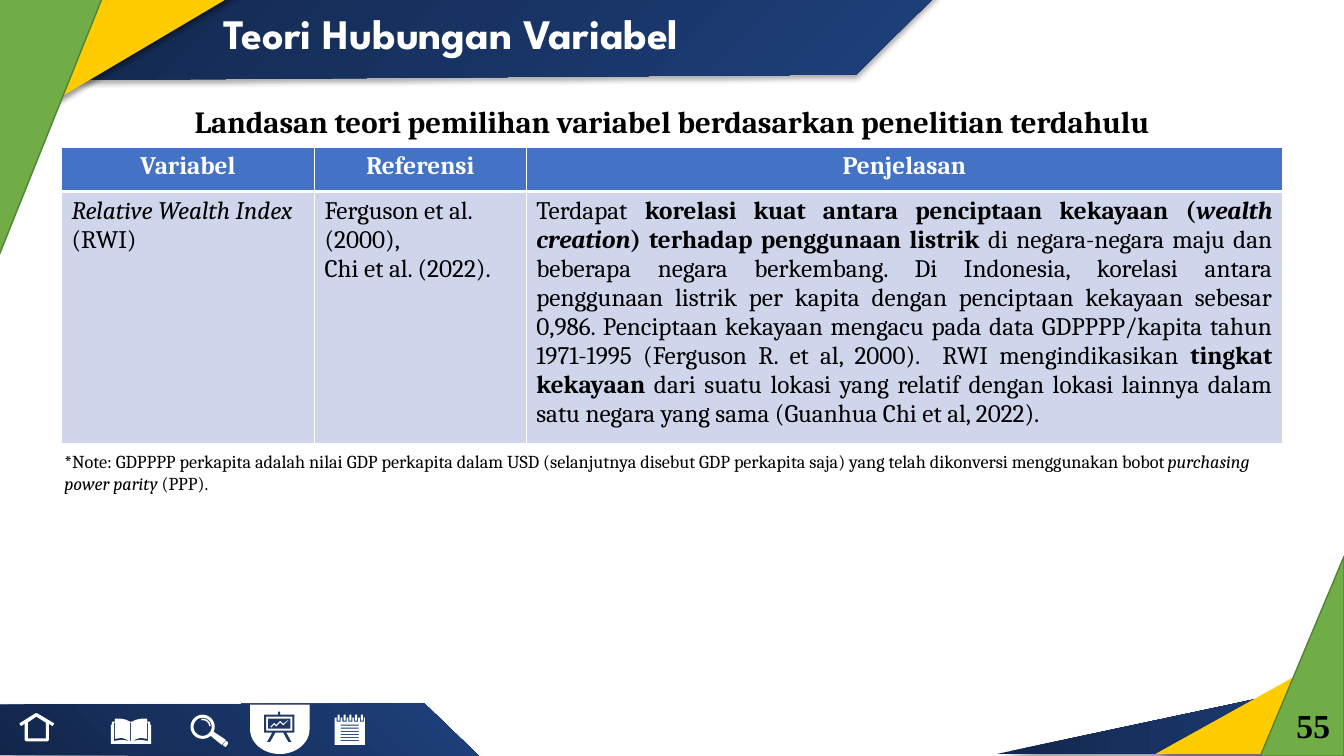
from math import cos, radians, sin

from lxml.etree import SubElement
from pptx import Presentation
from pptx.dml.color import RGBColor
from pptx.enum.shapes import MSO_CONNECTOR, MSO_SHAPE
from pptx.enum.text import MSO_ANCHOR as ANCHOR, PP_ALIGN as ALIGN
from pptx.oxml.ns import qn
from pptx.util import Inches, Pt

WHITE = RGBColor(0xFF, 0xFF, 0xFF)
BLACK = RGBColor(0, 0, 0)
NAVY_DARK = RGBColor(0x12, 0x26, 0x4A)
NAVY_LIGHT = RGBColor(0x1E, 0x40, 0x7C)
ICON_NAVY = RGBColor(0x20, 0x38, 0x64)
YELLOW = RGBColor(0xFF, 0xCC, 0x00)
GREEN = RGBColor(0x70, 0xAD, 0x47)
GREEN_EDGE = RGBColor(0x53, 0x81, 0x35)
HEADER_BLUE = RGBColor(0x44, 0x72, 0xC4)
BODY_BLUE = RGBColor(0xCF, 0xD5, 0xEA)
BODY_FONT = "Cambria"
CORNER_SHADOW = (40, 4, 3, 45)
BAND_SHADOW = (32, 3.5, 2.2, 90)

HEADINGS = ["Variabel", "Referensi", "Penjelasan"]
DETAILS = [
    [[("Relative Wealth Index ", "i"), ("(RWI)", "")]],
    [[("Ferguson et al. (2000),", "")], [("Chi et al. (2022).", "")]],
    [[("Terdapat ", ""), ("korelasi kuat antara penciptaan kekayaan (", "b"),
      ("wealth creation", "bi"), (") terhadap penggunaan listrik", "b"),
      (" di negara-negara maju dan beberapa negara berkembang. Di Indonesia, korelasi antara "
       "penggunaan listrik per kapita dengan penciptaan kekayaan sebesar 0,986. Penciptaan "
       "kekayaan mengacu pada data GDPPPP/kapita tahun 1971-1995 (Ferguson R. et al, 2000).  "
       "RWI mengindikasikan ", ""),
      ("tingkat kekayaan ", "b"),
      ("dari suatu lokasi yang relatif dengan lokasi lainnya dalam satu negara yang sama "
       "(Guanhua Chi et al, 2022).", "")]],
]
NOTE = [[("*Note: GDPPPP perkapita adalah nilai GDP perkapita dalam USD (selanjutnya disebut GDP "
          "perkapita saja) yang telah dikonversi menggunakan bobot ", ""),
         ("purchasing power parity ", "i"), ("(PPP).", "")]]


def write(frame, paragraphs, size, color=BLACK, font=BODY_FONT, align=ALIGN.LEFT):
    """Fill a text frame with paragraphs of (text, style) runs."""
    for index, runs in enumerate(paragraphs):
        paragraph = frame.add_paragraph() if index else frame.paragraphs[0]
        paragraph.alignment = align
        for text, style in runs:
            run = paragraph.add_run()
            run.text = text
            run.font.name, run.font.size = font, Pt(size)
            run.font.color.rgb = color
            run.font.bold, run.font.italic = "b" in style, "i" in style


def add_text(slide, box, paragraphs, size, anchor=ANCHOR.MIDDLE, **style):
    """Add a wrapping text box and return its frame."""
    frame = slide.shapes.add_textbox(*map(Inches, box)).text_frame
    frame.word_wrap = True
    frame.vertical_anchor = anchor
    write(frame, paragraphs, size, **style)
    return frame


def add_outline(slide, left, top, contours, fill=None, line=None, width=1, angle=None, shadow=None):
    """Draw closed contours, placed relative to left and top, as one freeform."""
    placed = [[(Inches(left + x), Inches(top + y)) for x, y in contour] for contour in contours]
    builder = slide.shapes.build_freeform(*placed[0][0])
    for index, points in enumerate(placed):
        if index:
            builder.move_to(*points[0])
        builder.add_line_segments(points[1:], close=True)
    shape = builder.convert_to_shape()
    shape.shadow.inherit = False
    if angle is not None:
        shape.fill.gradient()
        shape.fill.gradient_angle = angle
        for stop, color in zip(shape.fill.gradient_stops, (NAVY_DARK, NAVY_LIGHT)):
            stop.color.rgb = color
    elif fill is None:
        shape.fill.background()
    else:
        shape.fill.solid()
        shape.fill.fore_color.rgb = fill
    if line is None:
        shape.line.fill.background()
    else:
        shape.line.color.rgb = line
        shape.line.width = Pt(width)
    if shadow:
        alpha, blur, distance, direction = shadow
        effects = shape._element.spPr.find(qn("a:effectLst"))
        outer = SubElement(effects, qn("a:outerShdw"), blurRad=str(Pt(blur)), dist=str(Pt(distance)),
                           dir=str(direction * 60000), algn="tl", rotWithShape="0")
        color = SubElement(outer, qn("a:srgbClr"), val="000000")
        SubElement(color, qn("a:alpha"), val=str(alpha * 1000))


def rectangle(left, top, right, bottom):
    """Return the corners of a rectangle."""
    return [(left, top), (right, top), (right, bottom), (left, bottom)]


def arc(x, y, radius, start=0, end=360):
    """Return points along an arc."""
    steps = [radians(start + (end - start) * step / 32) for step in range(33)]
    return [(x + radius * cos(turn), y + radius * sin(turn)) for turn in steps]


def bottom_corner(slide, left, top):
    """Draw the three wedges of the lower right corner."""
    add_outline(slide, left, top, [[(3.44, 1.96), (3.44, 1.23), (0, 1.96)]], angle=0, shadow=CORNER_SHADOW)
    add_outline(slide, left, top, [[(3.44, 1.96), (3.44, 0.92), (1.57, 1.96)]], YELLOW, shadow=CORNER_SHADOW)
    add_outline(slide, left, top, [[(3.44, 1.98), (3.44, 0), (2.61, 1.98)]], GREEN, GREEN_EDGE)


def header(slide, left, top):
    """Draw the title band and the upper left corner."""
    strip = slide.shapes.add_shape(MSO_SHAPE.RECTANGLE, Inches(left), Inches(top), Inches(13.35), Inches(0.72))
    strip.shadow.inherit = False
    strip.fill.solid()
    strip.fill.fore_color.rgb = WHITE
    strip.line.fill.background()
    add_outline(slide, left, top, [[(8.5, 0.79), (0.01, 0.85), (-0.01, -0.02), (9.35, -0.05)]],
                angle=315, shadow=BAND_SHADOW)
    title = add_text(slide, (left + 2.13, top + 0.06, 6.79, 0.69), [[("Teori Hubungan Variabel", "b")]], 30,
                     color=WHITE, font="League Spartan")
    title.paragraphs[0].line_spacing = 0.9
    add_outline(slide, left, top, [[(-0.01, -0.01), (-0.01, 1.38), (2.34, -0.01)]], YELLOW, shadow=CORNER_SHADOW)
    add_outline(slide, left, top, [[(-0.01, -0.01), (-0.01, 2.61), (1.04, -0.01)]], GREEN, GREEN_EDGE)


def house_icon(slide, left, top):
    """Draw the house with its roof."""
    for eave in (0, 0.33):
        roof = slide.shapes.add_connector(MSO_CONNECTOR.STRAIGHT, Inches(left + eave), Inches(top + 0.1),
                                          Inches(left + 0.16), Inches(top))
        roof.line.color.rgb = WHITE
        roof.line.width = Pt(2.25)
        SubElement(roof._element.spPr, qn("a:effectLst"))
    walls = [(0.06, 0.07), (0.06, 0.25), (0.27, 0.25), (0.27, 0.07), (0.16, 0)]
    add_outline(slide, left, top, [walls], line=WHITE, width=2.25)


def book_icon(slide, left, top):
    """Draw the open book."""
    half = [(0.19, 0.03), (0.15, 0.01), (0.1, 0), (0.04, 0), (0.04, 0.03), (0.01, 0.03),
            (0.01, 0.06), (0, 0.06), (0, 0.25)]
    gap = [(0.03, 0.04), (0.03, 0.22), (0.11, 0.21), (0.19, 0.22), (0.11, 0.19), (0.04, 0.2), (0.04, 0.04)]
    mirror = [[(0.4 - x, y) for x, y in points] for points in (half, gap)]
    spine = rectangle(0.19, 0.04, 0.2, 0.22)
    add_outline(slide, left, top, [half + mirror[0][::-1], gap, mirror[1], spine], WHITE)


def search_icon(slide, left, top):
    """Draw the magnifier."""
    x, y = 0.12, 0.13
    glint = arc(x, y, 0.08, 260, 355) + arc(x, y, 0.065, 355, 260)
    grip = [(0.23, 0.18), (0.35, 0.26), (0.31, 0.31), (0.2, 0.22)]
    tip = [(0.35, 0.27), (0.37, 0.28), (0.37, 0.3), (0.35, 0.33), (0.33, 0.32), (0.32, 0.31)]
    add_outline(slide, left, top, [arc(x, y, 0.12), arc(x, y, 0.09), glint, grip, tip], WHITE)


def board_icon(slide, left, top):
    """Draw the presentation board on its white tab."""
    tab = slide.shapes.add_shape(MSO_SHAPE.FLOWCHART_DELAY, Inches(left - 0.09), Inches(top - 0.12),
                                 Inches(0.49), Inches(0.59))
    tab.rotation = 90
    tab.shadow.inherit = False
    tab.fill.solid()
    tab.fill.fore_color.rgb = WHITE
    tab.line.fill.background()
    stand = [(0.14, 0), (0.16, 0), (0.16, 0.03), (0.3, 0.03), (0.3, 0.21), (0.22, 0.21), (0.27, 0.3),
             (0.24, 0.3), (0.19, 0.21), (0.11, 0.21), (0.06, 0.3), (0.03, 0.3), (0.08, 0.21),
             (0, 0.21), (0, 0.03), (0.14, 0.03)]
    trend = [(0.06, 0.15), (0.1, 0.11), (0.12, 0.13), (0.16, 0.09), (0.19, 0.12), (0.24, 0.08),
             (0.24, 0.09), (0.19, 0.14), (0.16, 0.11), (0.12, 0.15), (0.1, 0.13), (0.07, 0.16)]
    frame, panel = rectangle(0.02, 0.05, 0.28, 0.19), rectangle(0.04, 0.07, 0.26, 0.17)
    add_outline(slide, left, top, [stand, frame, panel, trend], ICON_NAVY)


def notepad_icon(slide, left, top):
    """Draw the ring-bound notepad."""
    contours = [rectangle(0, 0.03, 0.3, 0.3)]
    contours += [rectangle(0.06, 0.1 + 0.03 * row, 0.24, 0.11 + 0.03 * row) for row in range(6)]
    for ring in range(5):
        x = 0.04 + 0.0575 * ring
        contours += [rectangle(x - 0.02, 0.03, x + 0.02, 0.07), rectangle(x - 0.01, 0, x + 0.01, 0.06)]
    add_outline(slide, left, top, contours, WHITE)


def navigation(slide, left, top):
    """Draw the bottom band with its five icons."""
    add_outline(slide, left, top, [[(4.21, 0), (-0.05, 0.01), (-0.04, 0.51), (4.75, 0.52)]],
                angle=45, shadow=BAND_SHADOW)
    icons = [(board_icon, 2.62, 0.08), (book_icon, 1.1, 0.15), (search_icon, 1.89, 0.1),
             (notepad_icon, 3.32, 0.11), (house_icon, 0.2, 0.11)]
    for draw, x, y in icons:
        draw(slide, left + x, top + y)


def theory_table(slide, left, top, width, height):
    """Add the table of variables, references and explanations."""
    table = slide.shapes.add_table(2, 3, *map(Inches, (left, top, width, height))).table
    for column, size in zip(table.columns, (2.51, 2.1, 7.5)):
        column.width = Inches(size)
    table.rows[0].height, table.rows[1].height = Inches(0.44), Inches(height - 0.44)
    for index in range(3):
        heading, detail = table.cell(0, index), table.cell(1, index)
        write(heading.text_frame, [[(HEADINGS[index], "b")]], 18, WHITE, align=ALIGN.CENTER)
        write(detail.text_frame, DETAILS[index], 18, align=ALIGN.JUSTIFY if index == 2 else ALIGN.LEFT)
        for cell, color, base in ((heading, HEADER_BLUE, 3), (detail, BODY_BLUE, 1)):
            properties = cell._tc.get_or_add_tcPr()
            for side, weight in (("L", 1), ("R", 1), ("T", 4 - base if cell is heading else 3), ("B", base)):
                border = SubElement(properties, qn(f"a:ln{side}"), w=str(Pt(weight)))
                SubElement(SubElement(border, qn("a:solidFill")), qn("a:srgbClr"), val=str(WHITE))
            cell.fill.solid()
            cell.fill.fore_color.rgb = color


def body(slide, left, top, width):
    """Place the subtitle, the table and the note."""
    subtitle = "Landasan teori pemilihan variabel berdasarkan penelitian terdahulu"
    frame = add_text(slide, (left, top, width, 0.49), [[(subtitle, "b")]], 22, align=ALIGN.CENTER)
    frame.margin_left = frame.margin_right = Inches(0.13)
    frame.margin_top = frame.margin_bottom = Inches(0.07)
    theory_table(slide, left, top + 0.5, width, 2.84)
    add_text(slide, (left - 0.07, top + 3.46, width + 0.07, 0.54), NOTE, 13, ANCHOR.TOP)


def main():
    """Build and save the slide."""
    presentation = Presentation()
    presentation.slide_width, presentation.slide_height = Inches(13.33), Inches(7.5)
    slide = presentation.slides.add_slide(presentation.slide_layouts[6])
    bottom_corner(slide, 9.89, 5.52)
    header(slide, -0.01, -0.05)
    add_text(slide, (12.5, 6.94, 1.05, 0.5), [[("55", "b")]], 24, font="Times New Roman", align=ALIGN.CENTER)
    navigation(slide, 0, 6.98)
    body(slide, 0.61, 0.96, 12.11)
    presentation.save("out.pptx")


if __name__ == "__main__":
    main()
